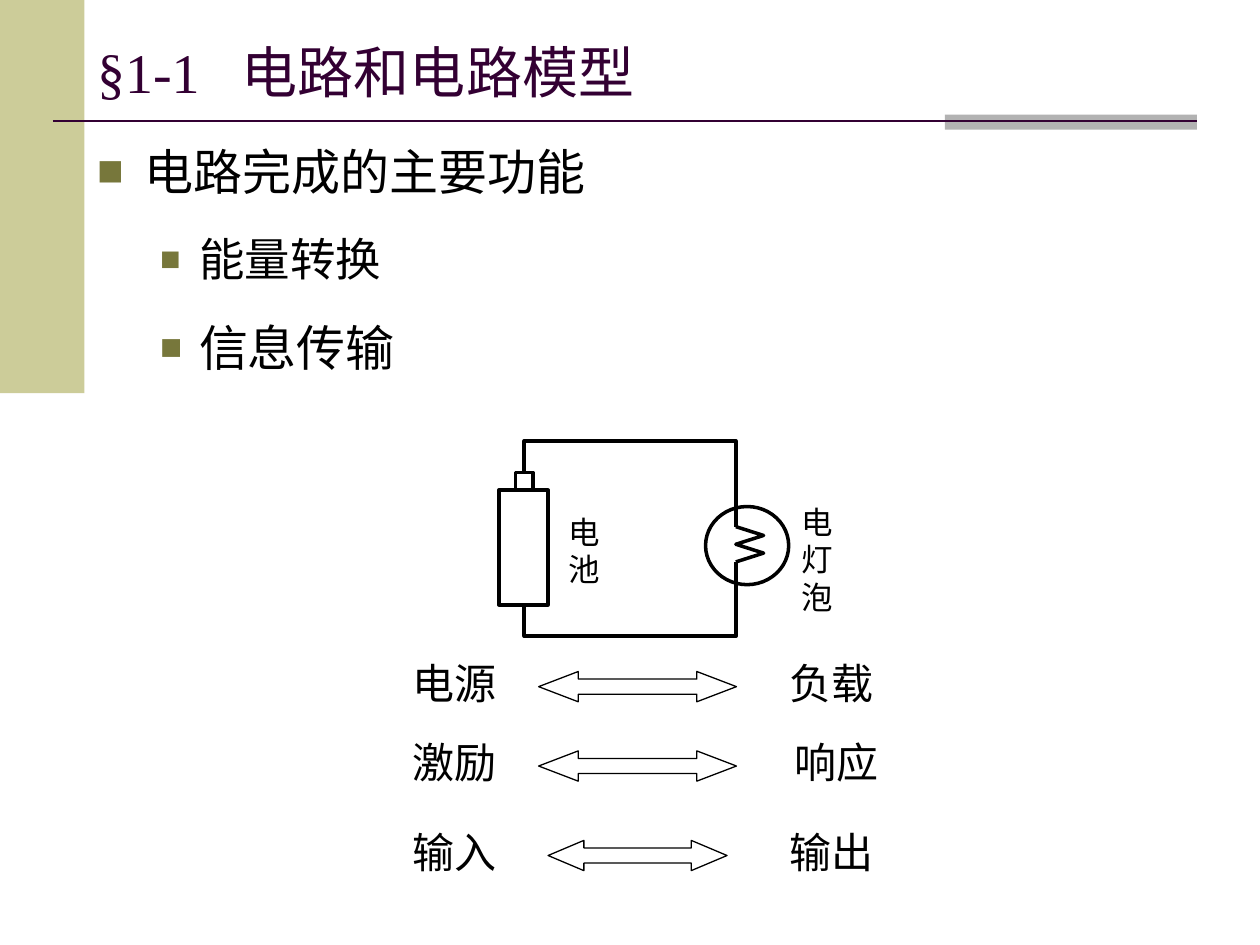
from dataclasses import dataclass

from lxml import etree
from pptx import Presentation
from pptx.dml.color import RGBColor
from pptx.enum.shapes import MSO_CONNECTOR, MSO_SHAPE
from pptx.enum.text import MSO_ANCHOR, MSO_AUTO_SIZE, PP_ALIGN
from pptx.oxml.ns import qn
from pptx.util import Inches, Pt

STRAIGHT, ELBOW = MSO_CONNECTOR.STRAIGHT, MSO_CONNECTOR.ELBOW
RECTANGLE, OVAL = MSO_SHAPE.RECTANGLE, MSO_SHAPE.OVAL
DOUBLE_ARROW = MSO_SHAPE.LEFT_RIGHT_ARROW
LEFT, CENTER = PP_ALIGN.LEFT, PP_ALIGN.CENTER
TOP, MIDDLE = MSO_ANCHOR.TOP, MSO_ANCHOR.MIDDLE
FIT_SHAPE, FIT_NONE = MSO_AUTO_SIZE.SHAPE_TO_FIT_TEXT, MSO_AUTO_SIZE.NONE

WIDTH, HEIGHT = Inches(10), Inches(7.5)
COLUMNS, ROWS = 100, 75


@dataclass(frozen=True)
class Theme:
    ink: str = "000000"
    title: str = "330033"
    band: str = "CCCC99"
    tab: str = "B2B2B2"
    bullet: str = "77773B"
    title_font: str = "Times New Roman"
    body_font: str = "Arial"
    title_size: int = 32
    body_size: int = 28
    sub_size: int = 26
    pair_size: int = 24
    part_size: int = 18
    wire: float = 2
    rule: float = 1.5
    thin: float = 0.75


THEME = Theme()


def col(number):
    return round(WIDTH * number / COLUMNS)


def row(number):
    return round(HEIGHT * number / ROWS)


def area(left, top, width, height):
    return col(left), row(top), col(width), row(height)


def color(code):
    return RGBColor.from_string(code)


def add_text(para, text, size, font=THEME.body_font, ink=THEME.ink, align=LEFT):
    para.alignment = align
    span = para.add_run()
    span.text = text
    span.font.size = Pt(size)
    span.font.name = font
    span.font.color.rgb = color(ink)


def style(shape, fill=None, line=None, weight=THEME.wire):
    shape.shadow.inherit = False
    if fill:
        shape.fill.solid()
        shape.fill.fore_color.rgb = color(fill)
    else:
        shape.fill.background()
    if line:
        shape.line.color.rgb = color(line)
        shape.line.width = Pt(weight)
    else:
        shape.line.fill.background()


def add_preset(page, preset, place, **look):
    shape = page.shapes.add_shape(preset, *area(*place))
    style(shape, **look)
    return shape


def add_line(page, kind, start, end, ink, weight):
    line = page.shapes.add_connector(
        kind, col(start[0]), row(start[1]), col(end[0]), row(end[1]))
    line.line.color.rgb = color(ink)
    line.line.width = Pt(weight)
    etree.SubElement(line._element.spPr, qn("a:effectLst"))
    return line


def add_wire(page, start, end, level):
    """Join two points by way of a horizontal run at the given row."""
    (x1, y1), (x2, y2) = start, end
    wire = add_line(page, ELBOW, start, end, THEME.ink, THEME.wire)
    # The elbow is turned by 90 degrees, so its width spans the rows.
    width, height = abs(y2 - y1), abs(x2 - x1)
    wire.left, wire.top, wire.width, wire.height = area(
        (x1 + x2 - width) / 2, (y1 + y2 - height) / 2, width, height)
    properties = wire._element.spPr
    frame = properties.find(qn("a:xfrm"))
    frame.set("rot", "5400000")
    frame.set("flipH", "1" if y2 < y1 else "0")
    frame.set("flipV", "1")
    bend = round((level - y1) / (y2 - y1) * 100000)
    guides = properties.find(qn("a:prstGeom")).find(qn("a:avLst"))
    etree.SubElement(guides, qn("a:gd"), name="adj1", fmla=f"val {bend}")


def add_filament(page, left, right, top, bottom, turns=4, steps=12):
    """Draw a smooth zigzag that swings between left and right."""
    points = []
    for step in range(turns * steps + 1):
        turn, part = divmod(step / steps, 1)
        eased = 1.5 * part * (1 - part) + part ** 3
        share = eased if turn % 2 == 0 else 1 - eased
        drop = (turn + 3 * part ** 2 - 2 * part ** 3 + 0.0) / turns
        drop = (turn + (part + 2 * (part - 1.5 * part ** 2 + part ** 3)) / 2) / turns
        points.append((col(left + (right - left) * share),
                       row(top + (bottom - top) * drop)))
    outline = page.shapes.build_freeform(*points[0])
    outline.add_line_segments(points[1:], close=False)
    style(outline.convert_to_shape(), line=THEME.ink)


def add_label(page, text, place, size):
    box = page.shapes.add_textbox(*area(*place))
    box.text_frame.word_wrap = True
    box.text_frame.auto_size = FIT_SHAPE
    add_text(box.text_frame.paragraphs[0], text, size, align=CENTER)


def add_bullet(para, percent, margin, hang):
    properties = para._p.get_or_add_pPr()
    properties.set("marL", str(col(margin)))
    properties.set("indent", str(-col(hang)))
    tint = etree.SubElement(properties, qn("a:buClr"))
    etree.SubElement(tint, qn("a:srgbClr"), val=THEME.bullet)
    etree.SubElement(properties, qn("a:buSzPct"), val=str(percent * 1000))
    etree.SubElement(properties, qn("a:buFont"), typeface=THEME.body_font)
    etree.SubElement(properties, qn("a:buChar"), char="■")


def place_frame(holder, place, anchor):
    holder.left, holder.top, holder.width, holder.height = area(*place)
    frame = holder.text_frame
    frame.auto_size = FIT_NONE
    frame.word_wrap = True
    frame.vertical_anchor = anchor
    return frame


def fill_title(page):
    frame = place_frame(page.shapes.title, (6.7, 3, 88.3, 5.3), MIDDLE)
    para = frame.paragraphs[0]
    stops = etree.SubElement(para._p.get_or_add_pPr(), qn("a:tabLst"))
    etree.SubElement(stops, qn("a:tab"), pos=str(col(11.5)), algn="l")
    add_text(para, "§1-1\t电路和电路模型", THEME.title_size,
             font=THEME.title_font, ink=THEME.title)


def fill_body(page):
    frame = place_frame(page.placeholders[1], (6.7, 10.7, 88.3, 59.1), TOP)
    items = (("电路完成的主要功能", 0, THEME.body_size),
             ("能量转换", 1, THEME.sub_size),
             ("信息传输", 1, THEME.body_size))
    bullets = ((90, 3.8, 3.8), (75, 8.1, 3.1))
    for index, (text, level, size) in enumerate(items):
        para = frame.add_paragraph() if index else frame.paragraphs[0]
        para.level = level
        para.space_before = Pt(18 if index else 0)
        add_bullet(para, *bullets[level])
        add_text(para, text, size)


def draw_backdrop(page):
    add_preset(page, RECTANGLE, (0, 0, 6.7, 31.2), fill=THEME.band)
    add_preset(page, RECTANGLE, (75, 9.1, 20, 1.2), fill=THEME.tab)
    add_line(page, STRAIGHT, (4.2, 9.6), (95, 9.6), THEME.title, THEME.rule)


def draw_circuit(page):
    battery, lamp = 41.6, 58.4
    for preset, place in ((RECTANGLE, (39.6, 38.9, 3.9, 9.1)),
                          (RECTANGLE, (40.9, 37.5, 1.4, 1.4)),
                          (OVAL, (56, 40.2, 6.6, 6.2))):
        add_preset(page, preset, place, line=THEME.ink)
    add_filament(page, lamp, 60.6, 41.8, 44.6)
    add_wire(page, (battery, 37.5), (lamp, 41.8), 35)
    add_wire(page, (battery, 48), (lamp, 44.6), 50.5)
    add_label(page, "电池", (43.5, 40.2, 5.7, 7), THEME.part_size)
    add_label(page, "电灯泡", (62.4, 39.4, 5, 10), THEME.part_size)


def draw_pair(page, source, load, top, load_center=66, arrow_width=15.7):
    width, height, arrow_height = 10.2, 5, 2.4
    for text, center in ((source, 36.1), (load, load_center)):
        add_label(page, text, (center - width / 2, top, width, height),
                  THEME.pair_size)
    arrow = add_preset(
        page, DOUBLE_ARROW,
        (50.6 - arrow_width / 2, top + 1.6, arrow_width, arrow_height),
        line=THEME.ink, weight=THEME.thin)
    arrow.adjustments[0] = 0.5
    arrow.adjustments[1] = 0.2 * arrow_width / arrow_height


def main():
    deck = Presentation()
    deck.slide_width, deck.slide_height = WIDTH, HEIGHT
    page = deck.slides.add_slide(deck.slide_layouts[1])
    draw_backdrop(page)
    fill_title(page)
    fill_body(page)
    draw_circuit(page)
    draw_pair(page, "电源", "负载", 51.7)
    draw_pair(page, "激励", "响应", 58, load_center=66.4)
    draw_pair(page, "输入", "输出", 65.1, arrow_width=14.2)
    deck.save("out.pptx")


if __name__ == "__main__":
    main()
